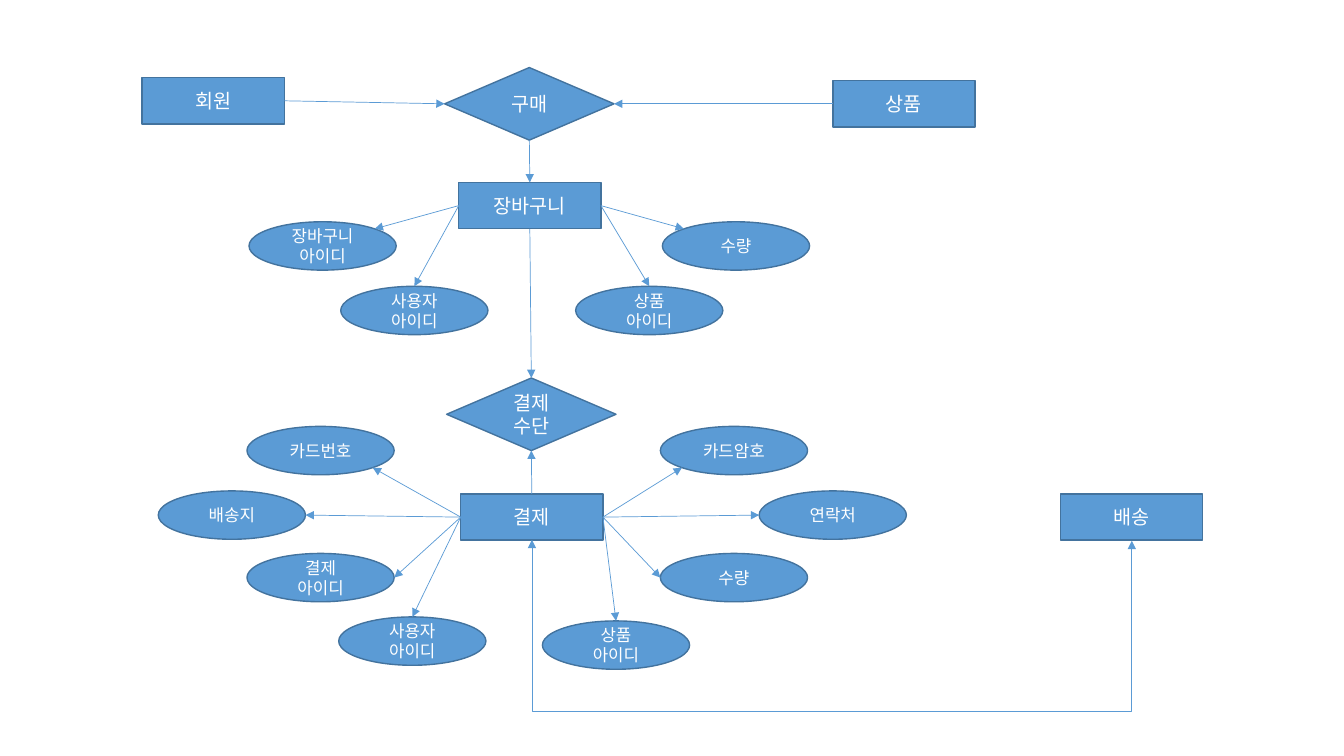
from dataclasses import dataclass
from lxml.etree import SubElement
from pptx import Presentation
from pptx.dml.color import RGBColor
from pptx.enum.shapes import MSO_CONNECTOR, MSO_SHAPE
from pptx.enum.text import MSO_ANCHOR, PP_ALIGN
from pptx.oxml.ns import qn
from pptx.util import Inches, Pt


@dataclass(frozen=True)
class Theme:
    """Colours, font and sizes of the diagram."""
    fill: RGBColor = RGBColor(0x5B, 0x9B, 0xD5)
    outline: RGBColor = RGBColor(0x43, 0x73, 0x9E)
    text: RGBColor = RGBColor(0xFF, 0xFF, 0xFF)
    font: str = "Noto Sans CJK KR"
    node_size: Pt = Pt(14)
    attribute_size: Pt = Pt(12)
    outline_width: Pt = Pt(1)
    arrow_width: Pt = Pt(0.5)


NEAR, FAR = 0.1464, 0.8536
POINTS = {
    "top": (0.5, 0), "top_left": (NEAR, NEAR), "left": (0, 0.5),
    "bottom_left": (NEAR, FAR), "bottom": (0.5, 1), "bottom_right": (FAR, FAR),
    "right": (1, 0.5), "top_right": (FAR, NEAR),
}
ELLIPSE_SITES = list(POINTS)
CORNER_SITES = ["top", "left", "bottom", "right"]


class Diagram:
    """Draws entities, relations, attributes and arrows on one page."""

    def __init__(self, page, theme):
        """Keep the page and its style."""
        self.page, self.theme = page, theme

    def apply(self, target, formats):
        """Set every attribute named in a dict of format values."""
        for name, value in formats.items():
            setattr(target, name, value)

    def node(self, kind, text, left, top, width, height, size):
        """Add a filled shape with one centred paragraph per line."""
        box = self.page.shapes.add_shape(
            kind, Inches(left), Inches(top), Inches(width), Inches(height))
        box.shadow.inherit = False
        box.fill.solid()
        box.fill.fore_color.rgb = self.theme.fill
        box.line.color.rgb = self.theme.outline
        box.line.width = self.theme.outline_width
        self.apply(box.text_frame, {"word_wrap": True, "vertical_anchor": MSO_ANCHOR.MIDDLE})
        box.text_frame.text = text
        for para in box.text_frame.paragraphs:
            para.alignment = PP_ALIGN.CENTER
            for span in para.runs:
                self.apply(span.font, {"size": size, "name": self.theme.font})
                span.font.color.rgb = self.theme.text
                SubElement(span.font._element, qn("a:ea"), typeface=self.theme.font)
        return box

    def entity(self, text, left, top):
        """Add an entity rectangle."""
        return self.node(MSO_SHAPE.RECTANGLE, text, left, top, 1.41, 0.46, self.theme.node_size)

    def relation(self, text, left, top):
        """Add a relation diamond."""
        return self.node(MSO_SHAPE.DIAMOND, text, left, top, 1.68, 0.72, self.theme.node_size)

    def attribute(self, text, left, top):
        """Add an attribute ellipse."""
        return self.node(MSO_SHAPE.OVAL, text, left, top, 1.46, 0.48, self.theme.attribute_size)

    def point(self, box, side):
        """Return the position of a connection site."""
        across, down = POINTS[side]
        return int(box.left + box.width * across), int(box.top + box.height * down)

    def connect(self, kind, start, end, ends, points):
        """Add a connector attached to a site of each box."""
        connector = self.page.shapes.add_connector(kind, *points)
        connector.line.color.rgb = self.theme.fill
        connector.line.width = self.theme.arrow_width
        holder = connector.element.nvCxnSpPr.cNvCxnSpPr
        for tag, (box, side) in (("a:stCxn", start), ("a:endCxn", end)):
            oval = box.auto_shape_type == MSO_SHAPE.OVAL
            sites = ELLIPSE_SITES if oval else CORNER_SITES
            SubElement(holder, qn(tag), id=str(box.shape_id), idx=str(sites.index(side)))
        line = connector.line._get_or_add_ln()
        for tag in ends:
            SubElement(line, qn(tag), type="triangle")
        SubElement(connector.element.spPr, qn("a:effectLst"))
        return connector

    def arrow(self, start, side, end, end_side):
        """Add a straight arrow between two boxes."""
        points = self.point(start, side) + self.point(end, end_side)
        self.connect(MSO_CONNECTOR.STRAIGHT, (start, side), (end, end_side), ["a:tailEnd"], points)

    def loop(self, start, end, drop):
        """Add a double arrow that runs below two boxes."""
        (first, base), (last, _) = self.point(start, "bottom"), self.point(end, "bottom")
        middle, half, depth = (first + last) // 2, (last - first) // 2, Inches(0.01)
        points = (middle + depth // 2, base - half, middle - depth // 2, base + half)
        connector = self.connect(MSO_CONNECTOR.ELBOW, (start, "bottom"), (end, "bottom"),
                                 ["a:headEnd", "a:tailEnd"], points)
        properties = connector.element.spPr
        properties.find(qn("a:xfrm")).set("rot", str(270 * 60000))
        guides = properties.find(qn("a:prstGeom")).find(qn("a:avLst"))
        ratio = round(Inches(drop) / depth * 100000)
        SubElement(guides, qn("a:gd"), name="adj1", fmla=f"val {ratio}")


deck = Presentation()
deck.slide_width, deck.slide_height = Inches(13.33), Inches(7.5)
diagram = Diagram(deck.slides.add_slide(deck.slide_layouts[6]), Theme())

member = diagram.entity("회원", 1.41, 0.77)
product = diagram.entity("상품", 8.26, 0.8)
cart = diagram.entity("장바구니", 4.55, 1.81)
payment = diagram.entity("결제", 4.57, 4.9)
delivery = diagram.entity("배송", 10.52, 4.9)
purchase = diagram.relation("구매", 4.41, 0.67)
method = diagram.relation("결제\n수단", 4.43, 3.75)

for start, side, end, end_side in (
    (member, "right", purchase, "left"),
    (product, "left", purchase, "right"),
    (purchase, "bottom", cart, "top"),
    (cart, "bottom", method, "top"),
    (payment, "top", method, "bottom"),
):
    diagram.arrow(start, side, end, end_side)

for owner, side, text, left, top, end_side in (
    (cart, "left", "장바구니\n아이디", 2.47, 2.2, "top_right"),
    (cart, "left", "사용자\n아이디", 3.38, 2.84, "top"),
    (cart, "right", "상품\n아이디", 5.71, 2.84, "top"),
    (cart, "right", "수량", 6.57, 2.2, "top_left"),
    (payment, "left", "카드번호", 2.45, 4.23, "bottom_right"),
    (payment, "left", "배송지", 1.57, 4.87, "right"),
    (payment, "left", "결제\n아이디", 2.45, 5.49, "right"),
    (payment, "left", "사용자\n아이디", 3.36, 6.12, "top"),
    (payment, "right", "카드암호", 6.55, 4.23, "bottom_left"),
    (payment, "right", "연락처", 7.53, 4.87, "left"),
    (payment, "right", "수량", 6.55, 5.49, "left"),
    (payment, "right", "상품\n아이디", 5.38, 6.16, "top"),
):
    diagram.arrow(owner, side, diagram.attribute(text, left, top), end_side)

diagram.loop(payment, delivery, 1.73)
deck.save("out.pptx")
